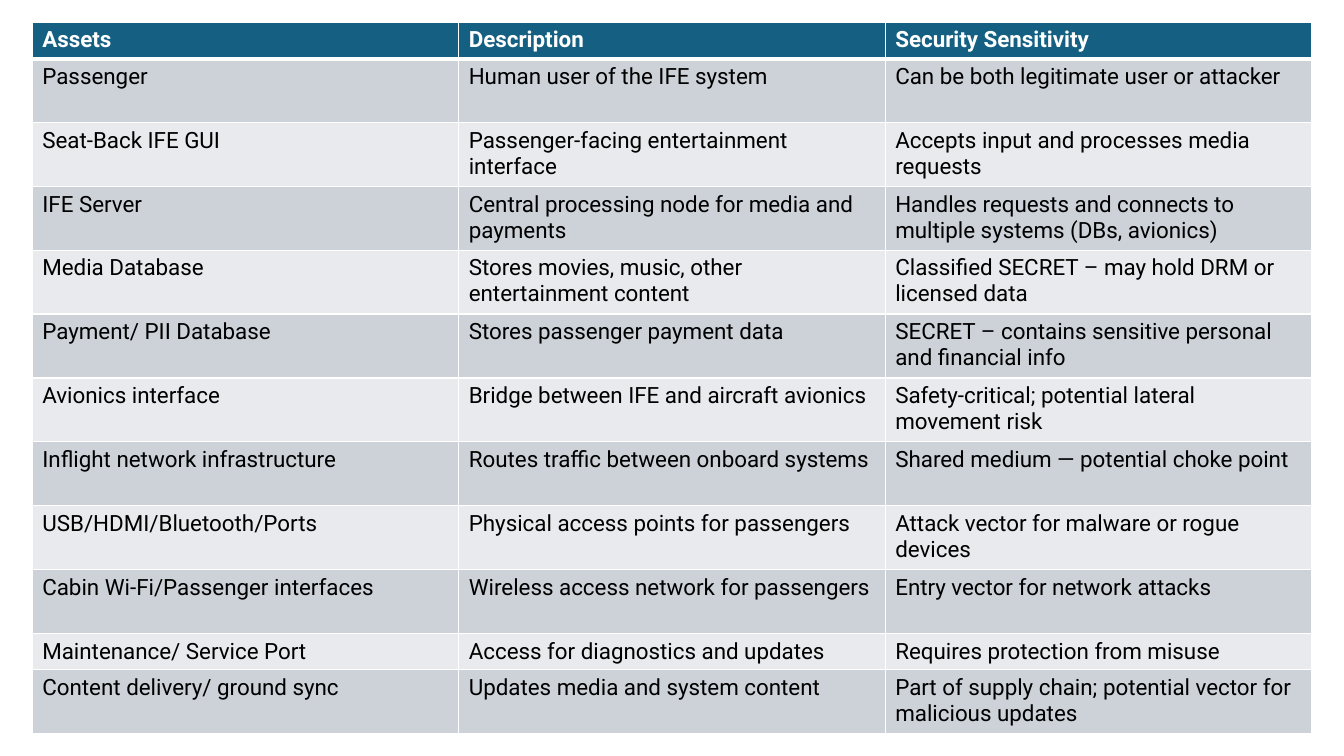
import pptx
import pptx.util
import pptx.dml.color
import pptx.oxml

THEME = {
    "font": "Roboto",
    "size": pptx.util.Pt(16),
    "header_fill": "156082",
    "header_text": "FFFFFF",
    "body_text": "000000",
    "bands": ("E8EAED", "CCD2D8"),
    "rule": "FFFFFF",
    "thin": 1,
    "thick": 3,
}

ASSETS = [
    ("Assets", "Description", "Security Sensitivity"),
    ("Passenger", "Human user of the IFE system", "Can be both legitimate user or attacker"),
    ("Seat-Back IFE GUI", "Passenger-facing entertainment interface",
     "Accepts input and processes media requests"),
    ("IFE Server", "Central processing node for media and payments",
     "Handles requests and connects to multiple systems (DBs, avionics)"),
    ("Media Database", "Stores movies, music, other entertainment content",
     "Classified SECRET – may hold DRM or licensed data"),
    ("Payment/ PII Database", "Stores passenger payment data",
     "SECRET – contains sensitive personal and financial info"),
    ("Avionics interface", "Bridge between IFE and aircraft avionics",
     "Safety-critical; potential lateral movement risk"),
    ("Inflight network infrastructure", "Routes traffic between onboard systems",
     "Shared medium — potential choke point"),
    ("USB/HDMI/Bluetooth/Ports", "Physical access points for passengers",
     "Attack vector for malware or rogue devices"),
    ("Cabin Wi-Fi/Passenger interfaces", "Wireless access network for passengers",
     "Entry vector for network attacks"),
    ("Maintenance/ Service Port", "Access for diagnostics and updates",
     "Requires protection from misuse"),
    ("Content delivery/ ground sync", "Updates media and system content",
     "Part of supply chain; potential vector for malicious updates"),
]
ONE_LINE_ROWS = (0, 10)


def add_border(cell, side, width):
    """Rule one side (L, R, T or B) of a cell; call before filling it."""
    cell._tc.get_or_add_tcPr().append(pptx.oxml.parse_xml(
        f'<a:ln{side} xmlns:a="http://schemas.openxmlformats.org/drawingml/2006/main"'
        f' w="{pptx.util.Pt(width)}"><a:solidFill><a:srgbClr val="{THEME["rule"]}"/>'
        f'</a:solidFill></a:ln{side}>'))


prs = pptx.Presentation()
prs.slide_width = pptx.util.Inches(13.33)
prs.slide_height = pptx.util.Inches(7.5)
s = prs.slides.add_slide(prs.slide_layouts[6])

left, top = pptx.util.Inches(0.32), pptx.util.Inches(0.22)
width = prs.slide_width - 2 * left
height = prs.slide_height - 2 * top
table = s.shapes.add_table(len(ASSETS), len(ASSETS[0]), left, top, width, height).table

for column in table.columns:
    column.width = width // len(ASSETS[0])

shares = [0.36 if i in ONE_LINE_ROWS else 0.63 for i in range(len(ASSETS))]
for row, share in zip(table.rows, shares):
    row.height = int(height * share / sum(shares))

for i, texts in enumerate(ASSETS):
    header = i == 0
    fill = THEME["header_fill"] if header else THEME["bands"][i % 2]
    color = THEME["header_text"] if header else THEME["body_text"]
    rules = {
        "L": THEME["thin"],
        "R": THEME["thin"],
        "T": THEME["thick"] if i == 1 else THEME["thin"],
        "B": THEME["thick"] if header else THEME["thin"],
    }
    for j, text in enumerate(texts):
        cell = table.cell(i, j)
        for side, rule_width in rules.items():
            add_border(cell, side, rule_width)
        cell.fill.solid()
        cell.fill.fore_color.rgb = pptx.dml.color.RGBColor.from_string(fill)
        r = cell.text_frame.paragraphs[0].add_run()
        r.text = text
        r.font.name = THEME["font"]
        r.font.size = THEME["size"]
        r.font.bold = header
        r.font.color.rgb = pptx.dml.color.RGBColor.from_string(color)

prs.save("out.pptx")
